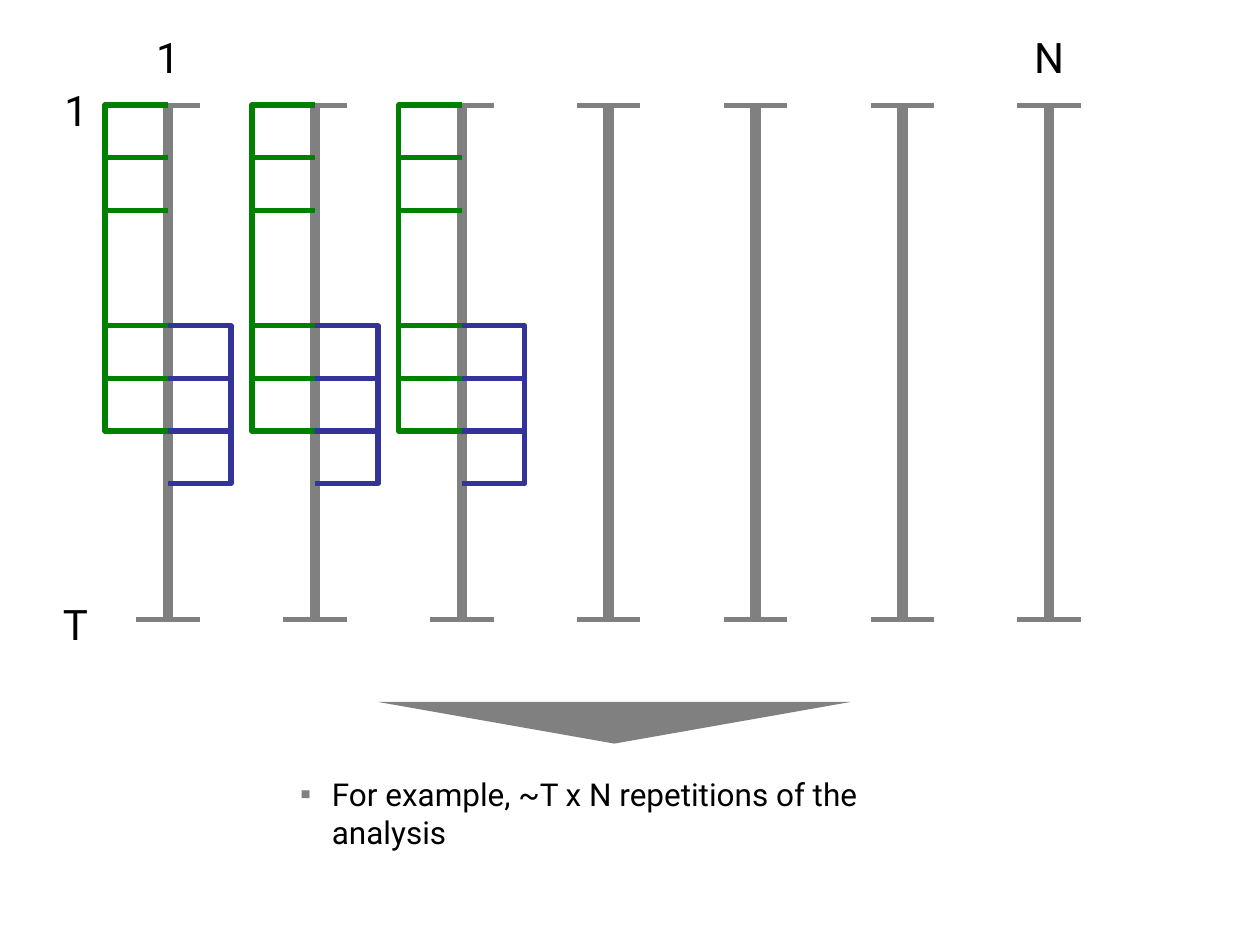
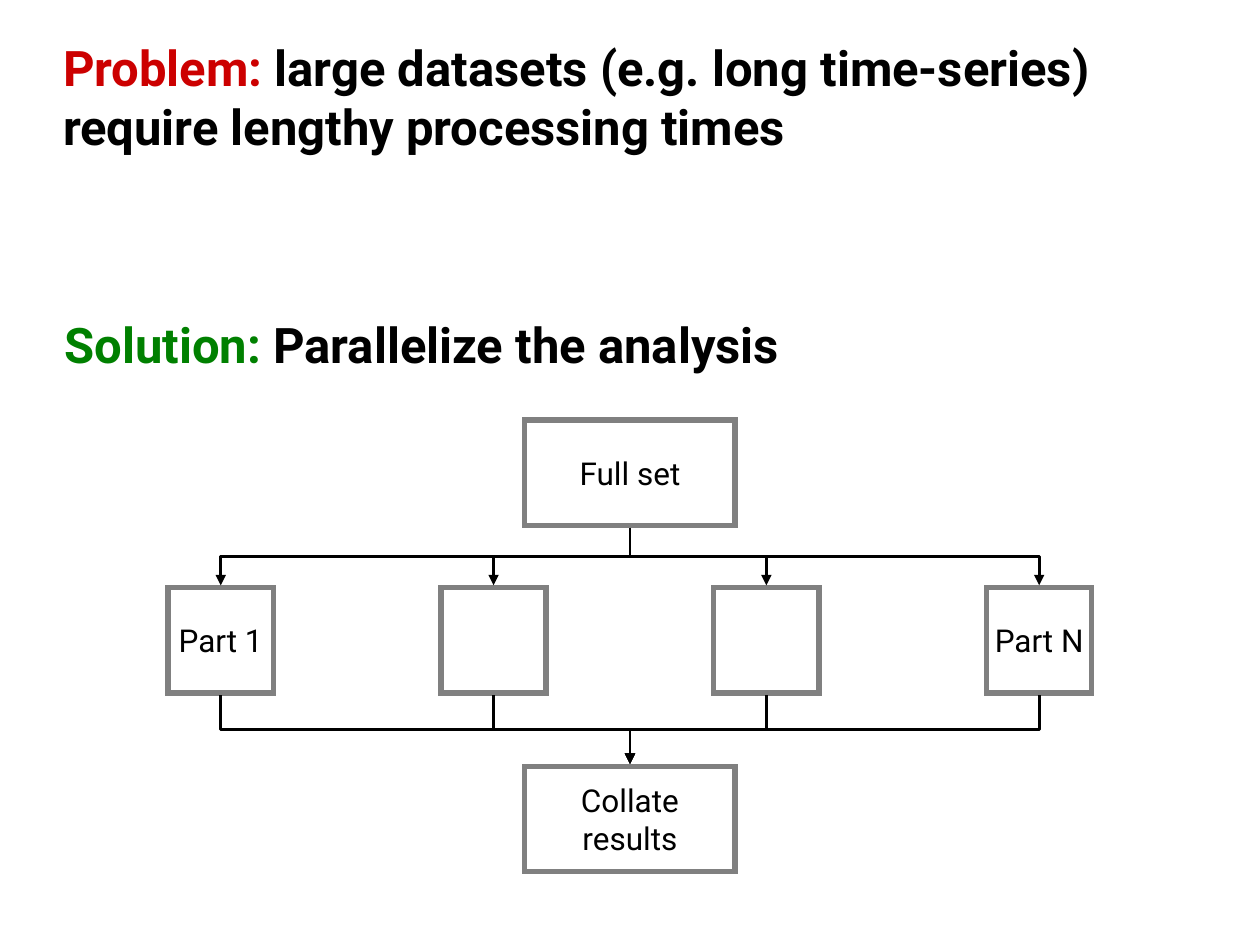
import pptx
import pptx.util
import pptx.dml.color
import pptx.enum.shapes
import pptx.enum.text
import pptx.oxml.ns
import lxml.etree

Cm = pptx.util.Cm
Pt = pptx.util.Pt
Kind = pptx.enum.shapes.MSO_SHAPE
Link = pptx.enum.shapes.MSO_CONNECTOR
Align = pptx.enum.text.PP_ALIGN
Anchor = pptx.enum.text.MSO_ANCHOR

GRAY = "808080"
BLACK = "000000"
RED = "CC0000"
GREEN = "008000"
BLUE = "333399"


def color(code):
    return pptx.dml.color.RGBColor.from_string(code)


def child(node, tag, **attrs):
    return lxml.etree.SubElement(node, pptx.oxml.ns.qn(tag), attrs)


class Deck:
    font = "Roboto"
    small, large, head = 18, 24, 28
    thin, mid, thick = 1.5, 3, 6

    def __init__(self):
        self.file = pptx.Presentation()
        self.file.slide_width = Cm(25.4)
        self.file.slide_height = Cm(19.05)

    def start(self, layout):
        self.slide = self.file.slides.add_slide(self.file.slide_layouts[layout])
        self.shapes = self.slide.shapes

    def style(self, run, size, code=BLACK, bold=False):
        run.font.name = self.font
        run.font.size = Pt(size)
        run.font.bold = bold
        run.font.color.rgb = color(code)

    def place(self, shape, left, top, width, height):
        shape.left, shape.top = Cm(left), Cm(top)
        shape.width, shape.height = Cm(width), Cm(height)

    def frame(self, shape, inset=0, wrap=True, anchor=Anchor.TOP):
        frame = shape.text_frame
        frame.margin_left = frame.margin_right = Cm(inset)
        frame.margin_top = frame.margin_bottom = 0
        frame.word_wrap = wrap
        frame.auto_size = pptx.enum.text.MSO_AUTO_SIZE.NONE
        frame.vertical_anchor = anchor
        return frame

    def heading(self, frame, lead, rest, code):
        par = frame.paragraphs[0]
        par.text = lead
        par.alignment = Align.LEFT
        par.add_run().text = rest
        for run, tone in zip(par.runs, (code, BLACK)):
            self.style(run, self.head, tone, True)

    def title(self, lead, rest, code):
        shape = self.shapes.title
        self.place(shape, 1.27, 0.76, 22.86, 3.18)
        self.heading(self.frame(shape), lead, rest, code)

    def subhead(self, lead, rest, code, left, top):
        box = self.shapes.add_textbox(Cm(left), Cm(top), Cm(15.3), Cm(1.19))
        self.heading(self.frame(box, wrap=False), lead, rest, code)

    def label(self, text, left, top, width):
        box = self.shapes.add_textbox(Cm(left), Cm(top), Cm(width), Cm(1.02))
        frame = self.frame(box, wrap=False)
        frame.text = text
        self.style(frame.paragraphs[0].runs[0], self.large)

    def bullet(self, text, left, top, width, height):
        shape = self.slide.placeholders[1]
        self.place(shape, left, top, width, height)
        frame = self.frame(shape)
        frame.text = text
        par = frame.paragraphs[0]
        par.space_before = Pt(0)
        props = par._p.get_or_add_pPr()
        props.set("marL", str(Cm(0.64)))
        props.set("indent", str(-Cm(0.64)))
        child(child(props, "a:buClr"), "a:srgbClr", val=GRAY)
        child(props, "a:buChar", char="▪")
        self.style(par.runs[0], self.small)

    def stroke(self, shape, code, width):
        shape.line.color.rgb = color(code)
        shape.line.width = Pt(width)

    def line(self, x1, y1, x2, y2, width, code=GRAY, kind=Link.STRAIGHT):
        line = self.shapes.add_connector(kind, Cm(x1), Cm(y1), Cm(x2), Cm(y2))
        self.stroke(line, code, width)
        child(line._element.spPr, "a:effectLst")
        return line

    def elbow(self, x1, y1, x2, y2):
        midx, midy = (x1 + x2) / 2, (y1 + y2) / 2
        halfx, halfy = (x1 - x2) / 2, (y2 - y1) / 2
        side = 1 if halfx > 0 else -1
        line = self.line(midx - side * halfy, midy - abs(halfx),
                         midx + side * halfy, midy + abs(halfx),
                         self.thin, BLACK, Link.ELBOW)
        turn = 90 if side > 0 else 270
        line._element.spPr.xfrm.set("rot", str(turn * 60000))
        child(line.line._get_or_add_ln(), "a:tailEnd", type="triangle")

    def bracket(self, x, top, reach, height, code):
        pen = self.shapes.build_freeform(Cm(x), Cm(top))
        low = top + height
        pen.add_line_segments(
            [(Cm(x + reach), Cm(top)), (Cm(x + reach), Cm(low)), (Cm(x), Cm(low))],
            close=False)
        shape = pen.convert_to_shape()
        shape.shadow.inherit = False
        shape.fill.background()
        self.stroke(shape, code, self.mid)

    def wedge(self, left, top, width, height):
        shape = self.shapes.add_shape(Kind.ISOSCELES_TRIANGLE, Cm(left), Cm(top),
                                      Cm(width), Cm(height))
        shape.rotation = 180
        shape.shadow.inherit = False
        shape.fill.solid()
        shape.fill.fore_color.rgb = color(GRAY)
        shape.line.fill.background()

    def box(self, text, mid, top, width, height, inset=0):
        shape = self.shapes.add_shape(Kind.RECTANGLE, Cm(mid - width / 2), Cm(top),
                                      Cm(width), Cm(height))
        shape.shadow.inherit = False
        shape.fill.background()
        self.stroke(shape, GRAY, self.mid)
        child(shape.line._get_or_add_ln(), "a:miter", lim="800000")
        if text:
            frame = self.frame(shape, inset, anchor=Anchor.MIDDLE)
            frame.text = text
            frame.paragraphs[0].alignment = Align.CENTER
            self.style(frame.paragraphs[0].runs[0], self.small)


def series(deck):
    deck.start(1)
    title = deck.shapes.title._element
    title.getparent().remove(title)
    top, low = 2.12, 12.49
    step, span = 1.06, 4.45
    posts = [3.39 + 2.96 * i for i in range(7)]
    for x in posts:
        deck.line(x, top, x, low, deck.thick)
        for y in (top, low):
            deck.line(x + 0.64, y, x - 0.64, y, deck.mid)
    for text, left, y, width in (("1", 1.3, 1.7, 0.48), ("T", 1.27, 12.07, 0.51),
                                 ("1", 3.15, 0.64, 0.48), ("N", 20.85, 0.64, 0.61)):
        deck.label(text, left, y, width)
    deck.wedge(7.62, 14.15, 9.53, 0.84)
    deck.bullet("For example, ~T x N repetitions of the analysis",
                6.05, 15.62, 12.7, 1.52)
    for x in posts[:3]:
        for i in range(3):
            y = top + step * i
            deck.bracket(x, y, -1.27, span, GREEN)
            deck.bracket(x, y + span, 1.27, step, BLUE)


def split(deck):
    deck.start(5)
    deck.title("Problem:", " large datasets (e.g. long time-series) "
               "require lengthy processing times", RED)
    deck.subhead("Solution:", " Parallelize the analysis", GREEN, 1.3, 6.35)
    mid, side, wide, gap = 12.7, 2.12, 4.24, 0.05
    first, second, third = 8.47, 11.85, 15.45
    deck.box("Full set", mid, first, wide, side, 0.57)
    parts = [4.45 + 5.5 * i for i in range(4)]
    for x, text in zip(parts, ("Part 1", "", "", "Part N")):
        deck.box(text, x, second, side, side)
    deck.box("Collate results", mid, third, wide, side, 0.57)
    for x in parts:
        deck.elbow(mid, first + side + gap, x, second - gap)
        deck.elbow(x, second + side + gap, mid, third - gap)


def main():
    deck = Deck()
    series(deck)
    split(deck)
    deck.file.save("out.pptx")


if __name__ == "__main__":
    main()
